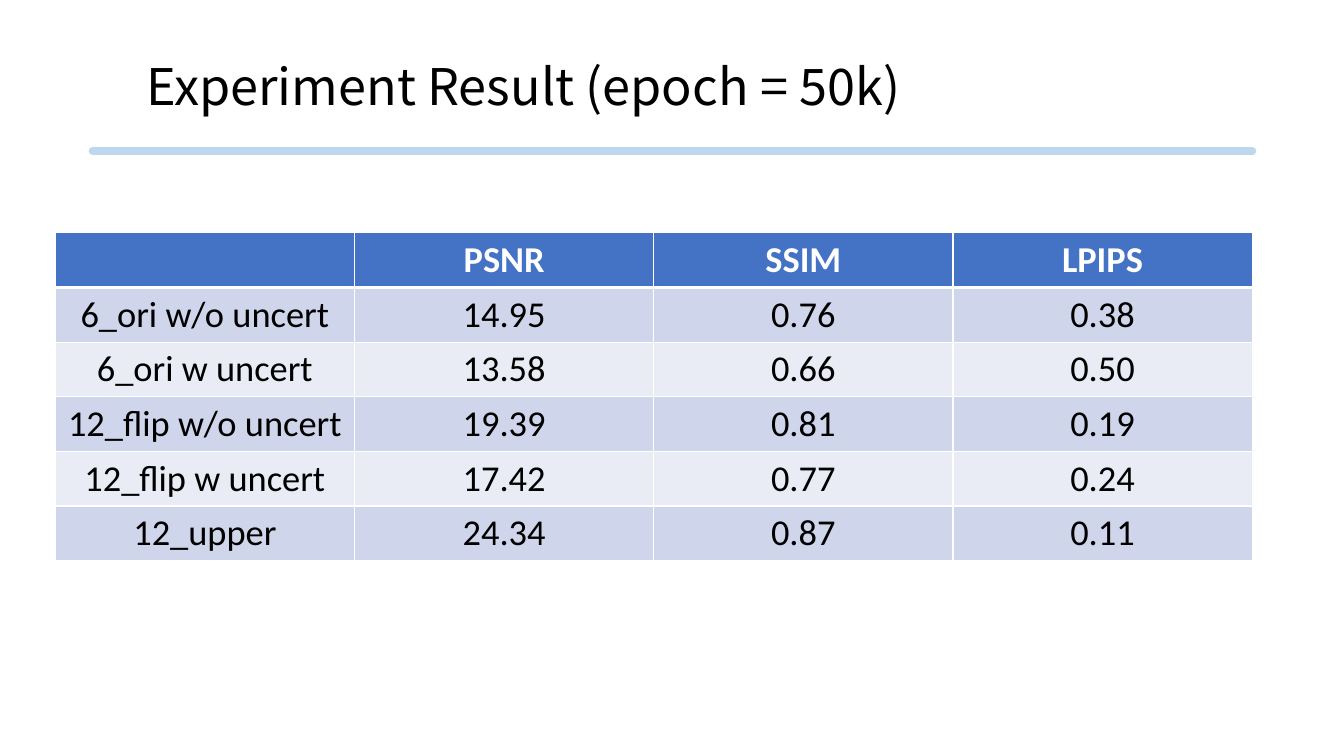
import dataclasses

import lxml.etree
import pptx
import pptx.dml.color
import pptx.enum.shapes
import pptx.enum.text
import pptx.oxml.ns
import pptx.util

EMU_PER_PX = 9144


@dataclasses.dataclass(frozen=True)
class Theme:
    title_font: str = "Noto Sans CJK KR"
    table_font: str = "Calibri"
    title_size: int = 36
    table_size: int = 26
    rule_width: float = 5.75
    border_width: int = 1
    header_border_width: int = 3
    text: str = "000000"
    white: str = "FFFFFF"
    rule: str = "BDD7EE"
    header: str = "4472C4"
    bands: tuple = ("CFD5EA", "E9EBF5")


THEME = Theme()

RESULTS = [
    ["", "PSNR", "SSIM", "LPIPS"],
    ["6_ori w/o uncert", "14.95", "0.76", "0.38"],
    ["6_ori w uncert", "13.58", "0.66", "0.50"],
    ["12_flip w/o uncert", "19.39", "0.81", "0.19"],
    ["12_flip w uncert", "17.42", "0.77", "0.24"],
    ["12_upper", "24.34", "0.87", "0.11"],
]


def px(length):
    return pptx.util.Emu(length * EMU_PER_PX)


def rgb(colour):
    return pptx.dml.color.RGBColor.from_string(colour)


def add_text(paragraph, text, font, size, colour, bold=False):
    run = paragraph.add_run()
    run.text = text
    run.font.name = font
    run.font.size = pptx.util.Pt(size)
    run.font.color.rgb = rgb(colour)
    run.font.bold = bold


def place_title(slide, text, left, top, width, height):
    title = slide.shapes.title
    title.left, title.top = px(left), px(top)
    title.width, title.height = px(width), px(height)
    frame = title.text_frame
    frame.word_wrap = True
    frame.auto_size = pptx.enum.text.MSO_AUTO_SIZE.NONE
    frame.vertical_anchor = pptx.enum.text.MSO_ANCHOR.MIDDLE
    paragraph = frame.paragraphs[0]
    paragraph.alignment = pptx.enum.text.PP_ALIGN.LEFT
    add_text(paragraph, text, THEME.title_font, THEME.title_size, THEME.text)


def add_rule(slide, left, top, width):
    rule = slide.shapes.add_connector(
        pptx.enum.shapes.MSO_CONNECTOR.STRAIGHT,
        px(left), px(top), px(left + width), px(top),
    )
    rule.line.color.rgb = rgb(THEME.rule)
    rule.line.width = pptx.util.Pt(THEME.rule_width)
    properties = rule._element.spPr
    properties.find(pptx.oxml.ns.qn("a:ln")).set("cap", "rnd")
    lxml.etree.SubElement(properties, pptx.oxml.ns.qn("a:effectLst"))


def set_borders(cell, widths):
    properties = cell._tc.get_or_add_tcPr()
    for index, (side, width) in enumerate(widths.items()):
        line = lxml.etree.Element(pptx.oxml.ns.qn(f"a:ln{side}"))
        line.set("w", str(pptx.util.Pt(width)))
        fill = lxml.etree.SubElement(line, pptx.oxml.ns.qn("a:solidFill"))
        colour = lxml.etree.SubElement(fill, pptx.oxml.ns.qn("a:srgbClr"))
        colour.set("val", THEME.white)
        properties.insert(index, line)


def add_results_table(slide, results, left, top, width, height):
    table = slide.shapes.add_table(
        len(results), len(results[0]), px(left), px(top), px(width), px(height)
    ).table
    for row_index, values in enumerate(results):
        is_header = row_index == 0
        fill = THEME.header if is_header else THEME.bands[(row_index - 1) % 2]
        colour = THEME.white if is_header else THEME.text
        widths = dict.fromkeys("LRTB", THEME.border_width)
        if row_index < 2:
            widths["B" if is_header else "T"] = THEME.header_border_width
        for column_index, value in enumerate(values):
            cell = table.cell(row_index, column_index)
            cell.fill.solid()
            cell.fill.fore_color.rgb = rgb(fill)
            set_borders(cell, widths)
            paragraph = cell.text_frame.paragraphs[0]
            paragraph.alignment = pptx.enum.text.PP_ALIGN.CENTER
            if value:
                add_text(paragraph, value, THEME.table_font, THEME.table_size,
                         colour, is_header)


def main():
    presentation = pptx.Presentation()
    presentation.slide_width = px(1333)
    presentation.slide_height = px(750)
    slide = presentation.slides.add_slide(presentation.slide_layouts[5])
    add_rule(slide, 92, 150, 1150)
    place_title(slide, "Experiment Result (epoch = 50k)", 135, 49, 1120, 71)
    add_results_table(slide, RESULTS, 55, 231, 1187, 320)
    presentation.save("out.pptx")


if __name__ == "__main__":
    main()
